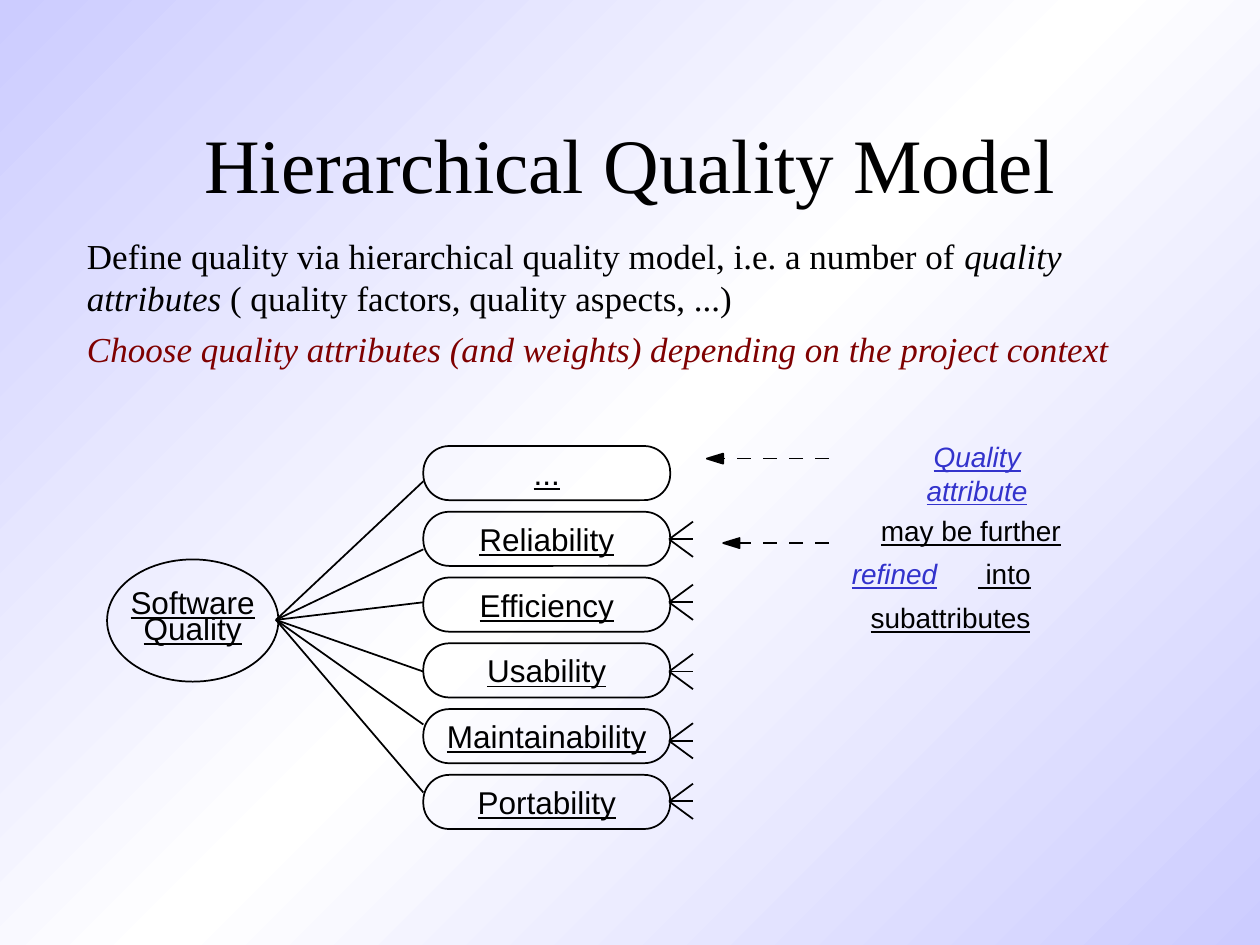
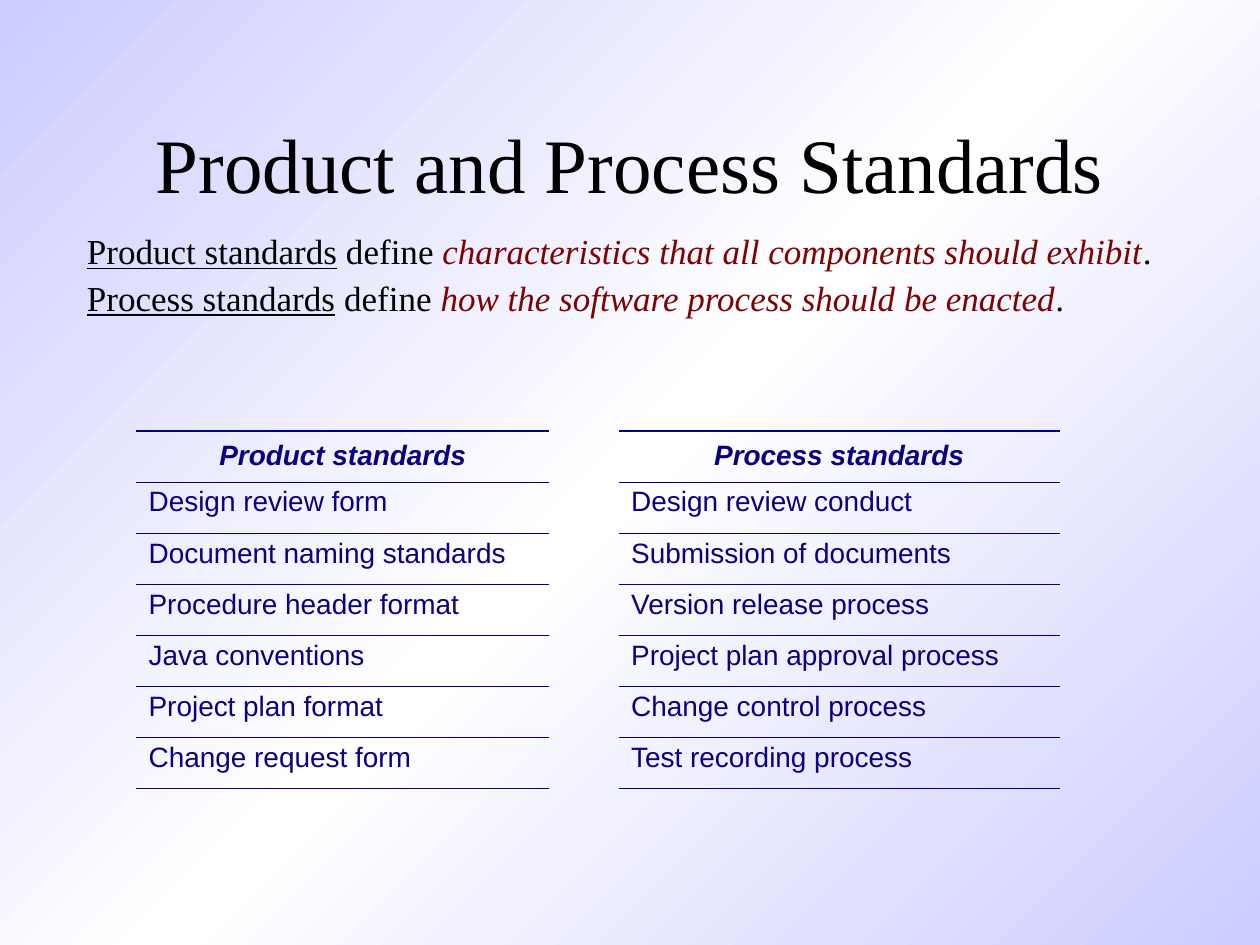
from dataclasses import dataclass
from lxml import etree
from copy import deepcopy
from pptx import Presentation
from pptx.dml.color import RGBColor
from pptx.enum import shapes, text
from pptx.oxml.ns import qn
from pptx.util import Inches, Pt


@dataclass(frozen=True)
class Theme:
    serif: str = "Times New Roman"
    sans: str = "Arial"
    ink: str = "000000"
    red: str = "7F0101"
    blue: str = "3333CC"
    navy: str = "0A017F"
    rule: str = "00027F"
    edge: str = "CCCCFF"
    mid: str = "FFFFFF"
    title: int = 44
    body: int = 20
    label: int = 18
    note: int = 16


T = Theme()
CENTER = text.PP_ALIGN.CENTER
MIDDLE = text.MSO_ANCHOR.MIDDLE
PLAIN_GRID = "{2D5ABB26-0587-4C30-8999-92F81FD0307C}"

# label, end of its spoke, middle of its fork (inches below the tree's top)
FACTORS = [
    ("...", 0.28, None),
    ("Reliability", 0.82, 0.74),
    ("Efficiency", 1.24, 1.24),
    ("Usability", 1.79, 1.79),
    ("Maintainability", 2.21, 2.34),
    ("Portability", 2.75, 2.82),
]
STANDARDS = [
    ("Product standards", "Process standards"),
    ("Design review form", "Design review conduct"),
    ("Document naming standards", "Submission of documents"),
    ("Procedure header format", "Version release process"),
    ("Java conventions", "Project plan approval process"),
    ("Project plan format", "Change control process"),
    ("Change request form", "Test recording process"),
]


def rgb(color):
    return RGBColor.from_string(color)


def box(x, y, w, h):
    return [Inches(v) for v in (x, y, w, h)]


def style(font, face, size, color=T.ink, **flags):
    font.name, font.size = face, Pt(size)
    font.color.rgb = rgb(color)
    for name, value in flags.items():
        setattr(font, name, value)


def place(shape, x, y, w, h):
    shape.left, shape.top, shape.width, shape.height = box(x, y, w, h)


def paint(prs):
    """Give the master its diagonal gradient."""
    master = prs.slide_master
    fill = master.background.fill
    fill.gradient()
    fill.gradient_angle = 315
    stops = master.element.find(".//" + qn("a:gsLst"))
    stops.append(deepcopy(stops[-1]))
    for stop, pos, color in zip(fill.gradient_stops, (0, 0.5, 1),
                                (T.edge, T.mid, T.edge)):
        stop.position, stop.color.rgb = pos, rgb(color)


def start(prs, title, paras, high, pitch=1.0):
    """Add a slide with its title and lead text; a run is (text, font flags)."""
    slide = prs.slides.add_slide(prs.slide_layouts[1])
    head, body = slide.placeholders
    place(head, 0.75, 0.67, 8.5, 1.25)
    head.text_frame.text = title
    head.text_frame.vertical_anchor = MIDDLE
    para = head.text_frame.paragraphs[0]
    para.alignment = CENTER
    style(para.font, T.serif, T.title)

    place(body, 0.59, 1.81, 8.82, high)
    frame = body.text_frame
    for shape in (head, body):
        shape.text_frame.auto_size = text.MSO_AUTO_SIZE.NONE
    for i, runs in enumerate(paras):
        para = frame.paragraphs[0] if i == 0 else frame.add_paragraph()
        props = para._p.get_or_add_pPr()
        props.set("marL", "0")
        props.set("indent", "0")
        etree.SubElement(props, qn("a:buNone"))
        para.space_before = Pt(5 if i else 0)
        para.line_spacing = pitch
        style(para.font, T.serif, T.body)
        for words, flags in runs:
            run = para.add_run()
            run.text = words
            for name, value in flags.items():
                if name == "color":
                    run.font.color.rgb = rgb(value)
                else:
                    setattr(run.font, name, value)
    return slide


def line(slide, x1, y1, x2, y2):
    link = slide.shapes.add_connector(
        shapes.MSO_CONNECTOR.STRAIGHT, *box(x1, y1, x2, y2))
    link.line.color.rgb = rgb(T.ink)
    link.line.width = Pt(1)
    etree.SubElement(link._element.spPr, qn("a:effectLst"))
    return link


def write(frame, words, size, color=T.ink, italic=False, pitch=None):
    """Fill a frame with underlined, centred lines."""
    frame.margin_left = frame.margin_right = 0
    frame.margin_top = frame.margin_bottom = 0
    frame.word_wrap = False
    frame.text = words
    for para in frame.paragraphs:
        para.alignment = CENTER
        if pitch:
            para.line_spacing = pitch
        style(para.font, T.sans, size, color, underline=True, italic=italic)


def node(slide, kind, area, words, pitch=None):
    shape = slide.shapes.add_shape(kind, *box(*area))
    shape.shadow.inherit = False
    shape.fill.background()
    shape.line.color.rgb = rgb(T.ink)
    shape.line.width = Pt(1)
    shape.text_frame.vertical_anchor = MIDDLE
    write(shape.text_frame, words, T.label, pitch=pitch)
    return shape


def fork(slide, x, y):
    for rise in (0.14, 0, -0.14):
        line(slide, x, y, x + 0.19, y + rise)


def tree(slide, x, y):
    """Draw the root, its factors and their forks."""
    kinds = shapes.MSO_SHAPE
    node(slide, kinds.OVAL, (x, y + 0.9, 1.36, 0.97),
         "Software\nQuality", Pt(15))
    left, wide, step = x + 2.51, 1.96, 0.522
    for i, (name, spoke, split) in enumerate(FACTORS):
        pill = node(slide, kinds.ROUNDED_RECTANGLE,
                    (left, y + i * step, wide, 0.43), name)
        pill.adjustments[0] = 0.48
        line(slide, x + 1.34, y + 1.38, left, y + spoke)
        if split:
            fork(slide, left + wide - 0.01, y + split)


def arrow(slide, x, y, end):
    """Draw a dashed arrow whose tip is at x, y."""
    long, half = 0.13, 0.04
    pen = slide.shapes.build_freeform(Inches(x), Inches(y))
    pen.add_line_segments([(Inches(x + long), Inches(y + half)),
                           (Inches(x + long), Inches(y - half))])
    tip = pen.convert_to_shape()
    tip.shadow.inherit = False
    tip.fill.solid()
    tip.fill.fore_color.rgb = tip.line.color.rgb = rgb(T.ink)
    tip.line.width = Pt(1)
    shaft = line(slide, end, y, x + long, y)
    dash = etree.SubElement(shaft.line._get_or_add_ln(), qn("a:custDash"))
    etree.SubElement(dash, qn("a:ds"), d="800000", sp="700000")


def notes(slide, x, y):
    """Explain the two levels of the tree, each beside an arrow."""
    for dx, dy, wide, words, key in (
            (1.37, 0, 1.55, "Quality attribute", True),
            (1.35, 0.59, 1.49, "may be further ", False),
            (1.15, 0.93, 0.68, "refined", True),
            (2.12, 0.93, 0.48, " into ", False),
            (1.3, 1.28, 1.27, "subattributes", False)):
        label = slide.shapes.add_textbox(*box(x + dx, y + dy, wide, 0.27))
        write(label.text_frame, words, T.note, T.blue if key else T.ink, key)
    arrow(slide, x, y + 0.15, x + 0.97)
    arrow(slide, x + 0.13, y + 0.82, x + 0.97)


def rule(cell, side, width):
    edge = etree.SubElement(cell._tc.get_or_add_tcPr(), qn("a:" + side),
                            w=str(Pt(width)))
    fill = etree.SubElement(edge, qn("a:solidFill"))
    etree.SubElement(fill, qn("a:srgbClr"), val=T.rule)


def grid(slide, x, y):
    """Set the two lists side by side, with an empty column between."""
    cols, high, last = (3.28, 0.55, 3.5), 0.37, len(STANDARDS) - 1
    table = slide.shapes.add_table(
        len(STANDARDS), len(cols),
        *box(x, y, sum(cols), high * len(STANDARDS))).table
    table.first_row = table.horz_banding = False
    table._tbl.tblPr.find(qn("a:tableStyleId")).text = PLAIN_GRID
    for col, wide in zip(table.columns, cols):
        col.width = Inches(wide)
    for i, names in enumerate(STANDARDS):
        table.rows[i].height = Inches(high)
        for j, words in zip((0, 2), names):
            cell = table.cell(i, j)
            rule(cell, "lnT", 0.45 if i else 1.08)
            rule(cell, "lnB", 1.08 if i == last else 0.45)
            cell.text = words
            para = cell.text_frame.paragraphs[0]
            para.line_spacing = 0.95
            if i == 0:
                cell.vertical_anchor = MIDDLE
                para.alignment = CENTER
            style(para.font, T.sans, T.note, T.navy,
                  bold=i == 0, italic=i == 0)
        for cell in table.rows[i].cells:
            cell.fill.background()


def model(prs):
    slide = start(prs, "Hierarchical Quality Model", [
        [("Define quality via hierarchical quality model, i.e. a number of ", {}),
         ("quality attributes", {"italic": True}),
         (" ( quality factors, quality aspects, ...)", {})],
        [("Choose quality attributes (and weights) depending on the project "
          "context", {"italic": True, "color": T.red})],
    ], 1.75)
    tree(slide, 0.85, 3.54)
    notes(slide, 5.61, 3.49)


def norms(prs):
    lead = [("Product standards",
             "characteristics that all components should exhibit"),
            ("Process standards",
             "how the software process should be enacted")]
    slide = start(prs, "Product and Process Standards", [
        [(term, {"underline": True}), (" define ", {}),
         (sense, {"italic": True, "color": T.red}), (".", {})]
        for term, sense in lead
    ], 1.19, 0.9)
    grid(slide, 1.08, 3.42)


def main():
    prs = Presentation()
    prs.slide_width, prs.slide_height = Inches(10), Inches(7.5)
    paint(prs)
    model(prs)
    norms(prs)
    prs.save("out.pptx")


if __name__ == "__main__":
    main()
